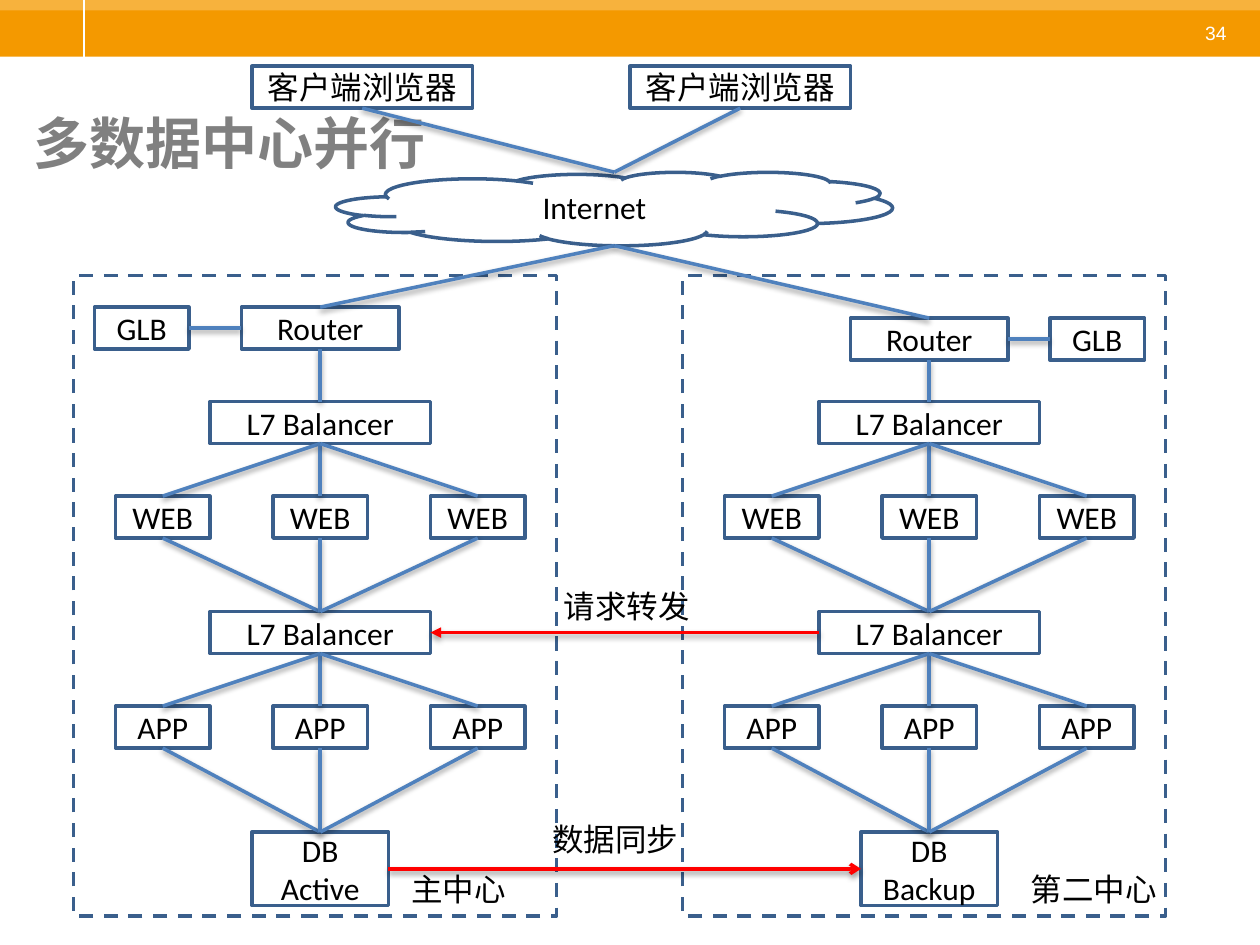
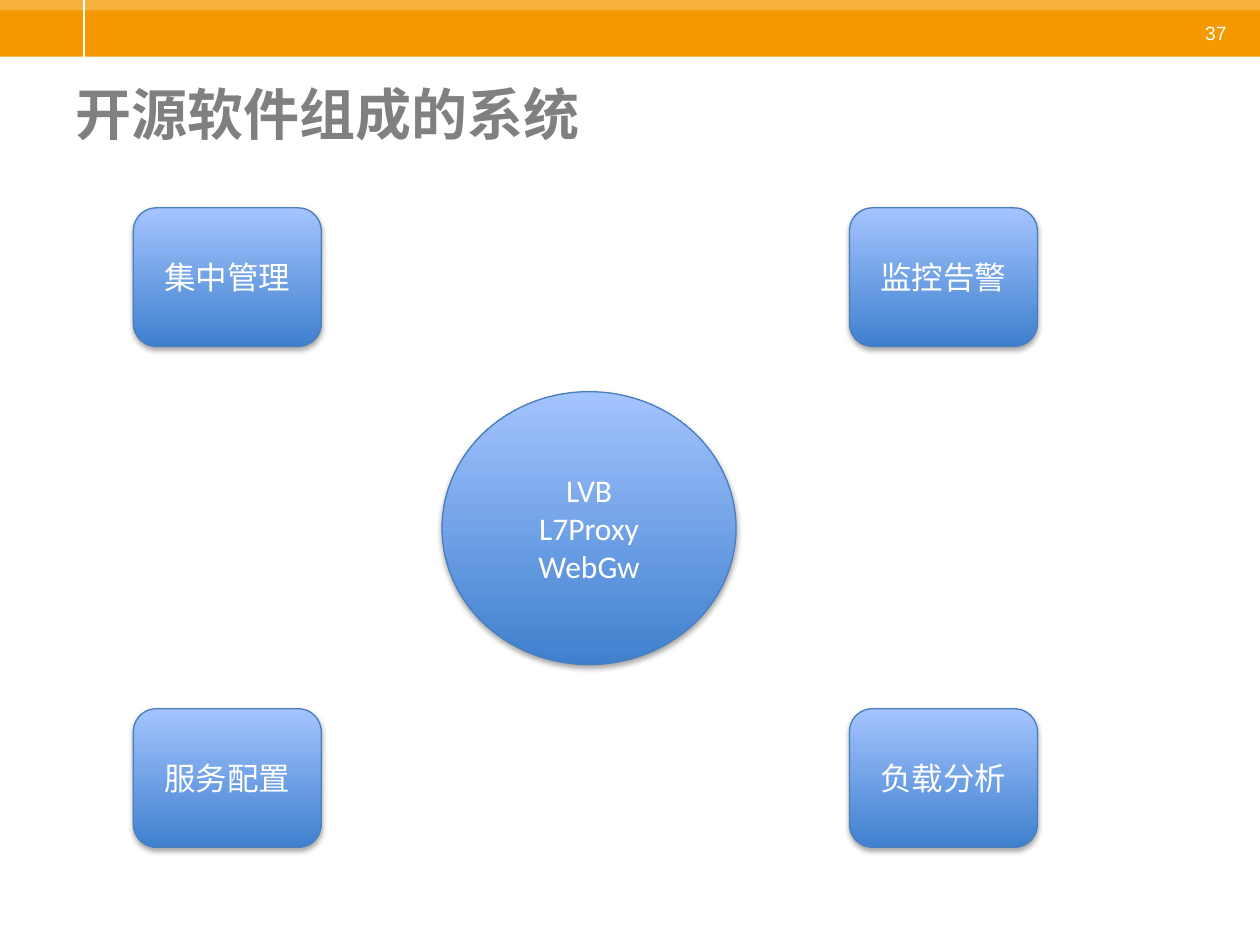
from dataclasses import dataclass

from lxml import etree
from pptx import Presentation
from pptx import util as u
from pptx.dml.color import RGBColor
from pptx.enum import dml, shapes, text
from pptx.oxml.ns import qn

COLS, ROWS = 120, 90
BOX_H = 4
SHAPE = shapes.MSO_SHAPE


@dataclass(frozen=True)
class Theme:
    band: str = "F49900"
    band_light: str = "F7B23D"
    white: str = "FFFFFF"
    black: str = "000000"
    title: str = "808080"
    outline: str = "3A5F8C"
    link: str = "4F81BD"
    alert: str = "FF0000"
    grad_dark: str = "3F80CE"
    grad_light: str = "A4C4FF"
    grad_line: str = "4B7EBC"
    head_font: str = "Arial"
    body_font: str = "Calibri"
    title_size: int = 32
    body_size: int = 18
    number_size: int = 11
    line: float = 2
    hairline: float = 0.75


def rgb(hex_color):
    return RGBColor.from_string(hex_color)


def port(sp, side):
    """Middle of one side of a shape, in EMU."""
    dx, dy = {"top": (0.5, 0), "bottom": (0.5, 1), "left": (0, 0.5), "right": (1, 0.5)}[side]
    return int(sp.left + dx * sp.width), int(sp.top + dy * sp.height)


def add_shadow(effects, alpha):
    shadow = etree.SubElement(effects, qn("a:outerShdw"), blurRad="40000", dist="21000",
                              dir="5400000", rotWithShape="0")
    color = etree.SubElement(shadow, qn("a:srgbClr"), val="000000")
    etree.SubElement(color, qn("a:alpha"), val=str(alpha * 1000))


class Deck:
    """Theme and current slide; lengths are columns and rows of the grid."""

    def __init__(self, theme):
        self.theme = theme
        self.prs = Presentation()
        self.prs.slide_width, self.prs.slide_height = u.Inches(10), u.Inches(7.5)
        self.s = None

    def x(self, cols):
        return int(self.prs.slide_width * cols / COLS)

    def y(self, rows):
        return int(self.prs.slide_height * rows / ROWS)

    def area(self, col, row, w, h):
        return self.x(col), self.y(row), self.x(w), self.y(h)

    def new_slide(self, number, title, col, row):
        t = self.theme
        self.s = self.prs.slides.add_slide(self.prs.slide_layouts[6])
        for height, color in ((5.4, t.band), (1, t.band_light)):
            self.shape(SHAPE.RECTANGLE, 0, 0, COLS, height, fill=color)
        self.line((self.x(8), 0), (self.x(8), self.y(5.4)), t.white, t.hairline)
        self.label(number, 113.3, 1.45, 5, 3.5, t.number_size, t.white, t.head_font,
                   align=text.PP_ALIGN.CENTER)
        self.label(title, col, row, 108, 10.5, t.title_size, t.title, t.head_font, bold=True,
                   wrap=True)

    def set_text(self, sp, content, size, color, font, align, bold=False):
        tf = sp.text_frame
        tf.text = content
        for p in tf.paragraphs:
            p.alignment = align
            p.font.size, p.font.name, p.font.bold = u.Pt(size), font, bold
            p.font.color.rgb = rgb(color)
        return tf

    def label(self, content, col, row, w, h=4.8, size=None, color=None, font=None,
              align=text.PP_ALIGN.LEFT, bold=False, wrap=False):
        t = self.theme
        sp = self.s.shapes.add_textbox(*self.area(col, row, w, h))
        tf = self.set_text(sp, content, size or t.body_size, color or t.black,
                           font or t.body_font, align, bold)
        tf.word_wrap = wrap

    def shape(self, kind, col, row, w, h, fill=None, line=None, width=None):
        sp = self.s.shapes.add_shape(kind, *self.area(col, row, w, h))
        sp.shadow.inherit = False
        if fill:
            sp.fill.solid()
            sp.fill.fore_color.rgb = rgb(fill)
        else:
            sp.fill.background()
        if line:
            sp.line.color.rgb = rgb(line)
            sp.line.width = u.Pt(width or self.theme.line)
        else:
            sp.line.fill.background()
        return sp

    def caption(self, sp, content, color):
        tf = self.set_text(sp, content, self.theme.body_size, color, self.theme.body_font,
                           text.PP_ALIGN.CENTER)
        tf.word_wrap = True
        tf.vertical_anchor = text.MSO_ANCHOR.MIDDLE

    def node(self, content, col, row, w, h=BOX_H, kind=SHAPE.RECTANGLE):
        sp = self.shape(kind, col, row, w, h, self.theme.white, self.theme.outline)
        self.caption(sp, content, self.theme.black)
        return sp

    def frame(self, col, row, w, h):
        sp = self.shape(SHAPE.RECTANGLE, col, row, w, h, line=self.theme.outline)
        sp.line.dash_style = dml.MSO_LINE.DASH

    def glossy(self, kind, content, col, row, w, h):
        t = self.theme
        sp = self.shape(kind, col, row, w, h, t.white, t.grad_line, t.hairline)
        sp.fill.gradient()
        sp.fill.gradient_angle = 90
        for stop, position, color in zip(sp.fill.gradient_stops, (0, 1),
                                         (t.grad_dark, t.grad_light)):
            stop.position, stop.color.rgb = position, rgb(color)
        add_shadow(sp.element.spPr.find(qn("a:effectLst")), 35)
        self.caption(sp, content, t.white)

    def line(self, start, end, color, width, head=None):
        """Straight line between two points in EMU; returns its effect list."""
        c = self.s.shapes.add_connector(shapes.MSO_CONNECTOR.STRAIGHT, *start, *end)
        c.line.color.rgb, c.line.width = rgb(color), u.Pt(width)
        sp_pr = c.element.spPr
        if head:
            etree.SubElement(sp_pr.find(qn("a:ln")), qn("a:tailEnd"), type=head)
        return etree.SubElement(sp_pr, qn("a:effectLst"))

    def link(self, a, b, sides=("bottom", "top"), color=None, head=None):
        effects = self.line(port(a, sides[0]), port(b, sides[1]),
                            color or self.theme.link, self.theme.line, head)
        add_shadow(effects, 38)


def data_center(deck, internet, col, router_row, gtm_col, gtm_sides, db_role):
    """One site from router down to database; returns its lower balancer and database."""
    deck.frame(col, 26.25, 46, 61)
    router = deck.node("Router", col + 16, router_row, 15)
    gtm = deck.node("GLB", gtm_col, router_row, 9)
    deck.link(internet, router)
    deck.link(router, gtm, gtm_sides)
    upper, lower = (deck.node("L7 Balancer", col + 13, row, 21) for row in (38.25, 58.25))
    db = deck.node(f"DB\n{db_role}", col + 17, 79.25, 13, 7)
    deck.link(router, upper)
    for name, above, below, row in (("WEB", upper, lower, 47.25), ("APP", lower, db, 67.25)):
        for i in range(3):
            server = deck.node(name, col + 4 + 15 * i, row, 9)
            deck.link(above, server)
            deck.link(server, below)
    return lower, db


def parallel_centers(deck):
    deck.new_slide("34", "多数据中心并行", 2, 9.75)
    internet = deck.node("Internet", 32, 16.4, 53, 7, kind=SHAPE.CLOUD)
    for col in (24, 60):
        client = deck.node("客户端浏览器", col, 6.3, 21)
        deck.link(client, internet)
    main_lb, main_db = data_center(deck, internet, 7, 29.25, 9, ("left", "right"), "Active")
    second_lb, second_db = data_center(deck, internet, 65, 30.3, 100, ("right", "left"),
                                       "Backup")
    deck.link(second_lb, main_lb, ("left", "right"), deck.theme.alert, "triangle")
    deck.link(main_db, second_db, ("right", "left"), deck.theme.alert, "arrow")
    for content, col, row in (("主中心", 38, 82.3), ("第二中心", 97, 82.3),
                              ("请求转发", 52.5, 55.3), ("数据同步", 51.4, 77.5)):
        deck.label(content, col, row, 14.5 if len(content) == 4 else 11.5)


def open_source_system(deck):
    deck.new_slide("37", "开源软件组成的系统", 6, 7)
    deck.glossy(SHAPE.OVAL, "LVB\nL7Proxy\nWebGw", 42.1, 37.3, 28, 26)
    for i, content in enumerate(("集中管理", "监控告警", "服务配置", "负载分析")):
        row, col = divmod(i, 2)
        deck.glossy(SHAPE.ROUNDED_RECTANGLE, content, 12.7 + 68.2 * col, 19.8 + 47.7 * row,
                    17.9, 13.2)


def main():
    deck = Deck(Theme())
    parallel_centers(deck)
    open_source_system(deck)
    deck.prs.save("out.pptx")


if __name__ == "__main__":
    main()
